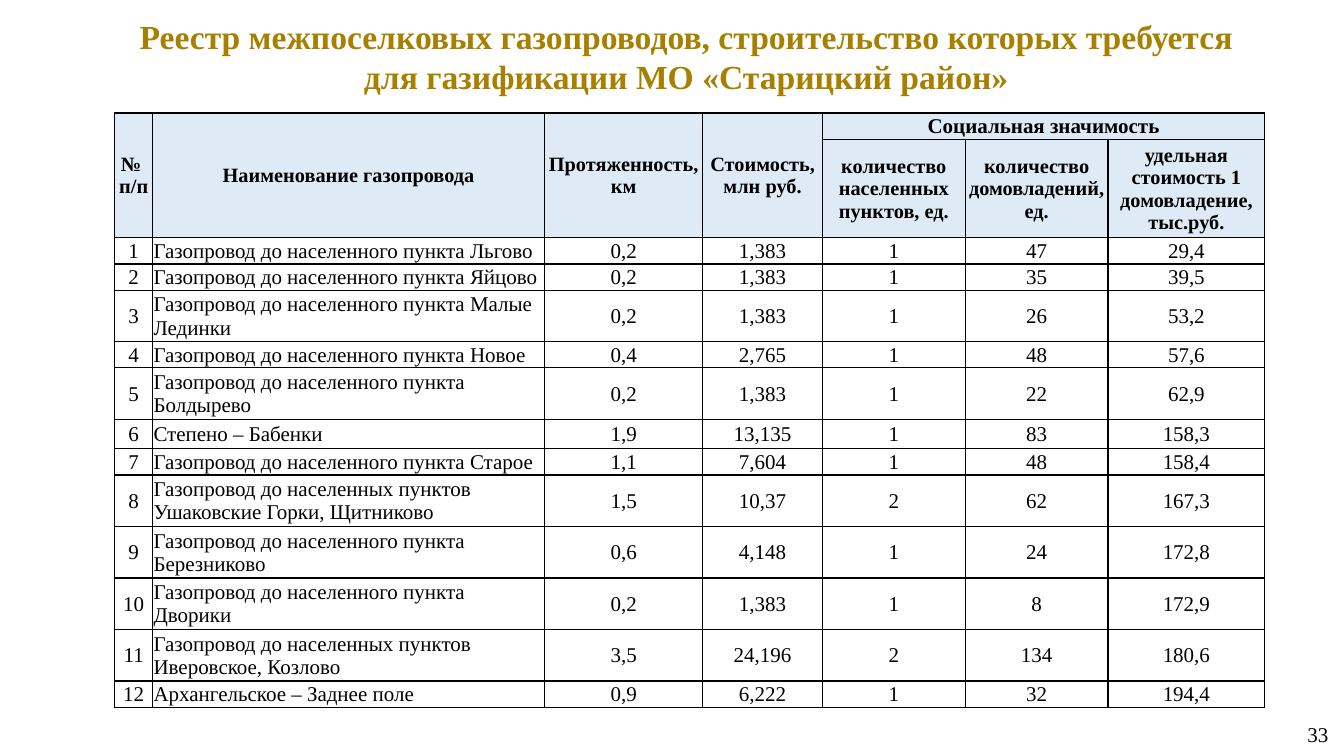
from lxml import etree
from pptx import Presentation
from pptx.dml.color import RGBColor
from pptx.enum.text import MSO_ANCHOR, PP_ALIGN
from pptx.oxml.ns import qn
from pptx.util import Pt

LEFT, CENTER, RIGHT = PP_ALIGN.LEFT, PP_ALIGN.CENTER, PP_ALIGN.RIGHT
TOP, MIDDLE = MSO_ANCHOR.TOP, MSO_ANCHOR.MIDDLE

BLACK = RGBColor(0x00, 0x00, 0x00)
GOLD = RGBColor(0xA8, 0x80, 0x00)
HEADER_BLUE = RGBColor(0xDE, 0xEB, 0xF7)
FONT = "Times New Roman"
BODY_SIZE, HEADER_SIZE = 15, 14.5

TITLE = [
    "Реестр межпоселковых газопроводов, строительство которых требуется ",
    "для газификации МО «Старицкий район» ",
]

COLUMN_WIDTHS = [27, 280, 113, 85.5, 102, 102, 112]
TOP_HEADER_HEIGHT, SUB_HEADER_HEIGHT = 18.8, 70.3
ONE_LINE, SPACED_LINE, TWO_LINES = 18.7, 21, 36.8

# Header cells: row, column, last row, last column, paragraphs, size
HEADERS = [
    (0, 0, 1, 0, ["№ \vп/п"], HEADER_SIZE),
    (0, 1, 1, 1, ["Наименование газопровода"], HEADER_SIZE),
    (0, 2, 1, 2, ["Протяженность, км"], HEADER_SIZE),
    (0, 3, 1, 3, ["Стоимость, млн руб."], HEADER_SIZE),
    (0, 4, 0, 6, ["Социальная значимость"], BODY_SIZE),
    (1, 4, 1, 4, ["количество населенных пунктов, ед."], HEADER_SIZE),
    (1, 5, 1, 5, ["количество", "домовладений, ед."], HEADER_SIZE),
    (1, 6, 1, 6, ["удельная стоимость 1 домовладение, тыс.руб."], HEADER_SIZE),
]

# Row height, name, length, cost, settlements, households, cost per household
PIPELINES = [
    (ONE_LINE, "Газопровод до населенного пункта Льгово", "0,2", "1,383", "1", "47", "29,4"),
    (ONE_LINE, "Газопровод до населенного пункта Яйцово", "0,2", "1,383", "1", "35", "39,5"),
    (TWO_LINES, "Газопровод до населенного пункта Малые Лединки", "0,2", "1,383", "1", "26", "53,2"),
    (ONE_LINE, "Газопровод до населенного пункта Новое", "0,4", "2,765", "1", "48", "57,6"),
    (TWO_LINES, "Газопровод до населенного пункта Болдырево", "0,2", "1,383", "1", "22", "62,9"),
    (SPACED_LINE, "Степено – Бабенки", "1,9", "13,135", "1", "83", "158,3"),
    (ONE_LINE, "Газопровод до населенного пункта Старое", "1,1", "7,604", "1", "48", "158,4"),
    (TWO_LINES, "Газопровод до населенных пунктов Ушаковские Горки, Щитниково",
     "1,5", "10,37", "2", "62", "167,3"),
    (TWO_LINES, "Газопровод до населенного пункта Березниково", "0,6", "4,148", "1", "24", "172,8"),
    (TWO_LINES, "Газопровод до населенного пункта Дворики", "0,2", "1,383", "1", "8", "172,9"),
    (TWO_LINES, "Газопровод до населенных пунктов Иверовское, Козлово",
     "3,5", "24,196", "2", "134", "180,6"),
    (ONE_LINE, "Архангельское – Заднее поле", "0,9", "6,222", "1", "32", "194,4"),
]


def write_text(text_frame, paragraphs, size, color=BLACK, bold=False, align=CENTER):
    for index, text in enumerate(paragraphs):
        paragraph = text_frame.paragraphs[0] if index == 0 else text_frame.add_paragraph()
        paragraph.alignment = align
        for line_index, line in enumerate(text.split("\v")):
            if line_index:
                paragraph.add_line_break()
            run = paragraph.add_run()
            run.text = line
            run.font.name = FONT
            run.font.size = Pt(size)
            run.font.bold = bold
            run.font.color.rgb = color


def add_text_box(slide, box, paragraphs, size, color, bold, align, anchor):
    text_frame = slide.shapes.add_textbox(*(Pt(length) for length in box)).text_frame
    text_frame.word_wrap = True
    text_frame.vertical_anchor = anchor
    write_text(text_frame, paragraphs, size, color, bold, align)


def style_cell(cell, fill_color=None):
    cell.vertical_anchor = MIDDLE
    cell.margin_left = cell.margin_top = cell.margin_right = Pt(0.7)
    cell.margin_bottom = 0
    properties = cell._tc.get_or_add_tcPr()
    for side in ("a:lnL", "a:lnR", "a:lnT", "a:lnB"):
        border = etree.SubElement(properties, qn(side), w=str(Pt(1)))
        border_fill = etree.SubElement(border, qn("a:solidFill"))
        etree.SubElement(border_fill, qn("a:srgbClr"), val=str(BLACK))
    if fill_color is None:
        cell.fill.background()
    else:
        cell.fill.solid()
        cell.fill.fore_color.rgb = fill_color


def add_pipeline_table(slide, left, top):
    heights = [TOP_HEADER_HEIGHT, SUB_HEADER_HEIGHT] + [row[0] for row in PIPELINES]
    table = slide.shapes.add_table(
        len(heights), len(COLUMN_WIDTHS), Pt(left), Pt(top),
        Pt(sum(COLUMN_WIDTHS)), Pt(sum(heights))).table
    table.first_row = table.horz_banding = False
    for column, width in zip(table.columns, COLUMN_WIDTHS):
        column.width = Pt(width)
    for row_index, (row, height) in enumerate(zip(table.rows, heights)):
        row.height = Pt(height)
        for cell in row.cells:
            style_cell(cell, HEADER_BLUE if row_index < 2 else None)

    # Two-level header
    for row, column, last_row, last_column, paragraphs, size in HEADERS:
        cell = table.cell(row, column)
        if (row, column) != (last_row, last_column):
            cell.merge(table.cell(last_row, last_column))
        write_text(cell.text_frame, paragraphs, size, bold=True)

    # Numbered pipelines
    for number, (_, *values) in enumerate(PIPELINES, start=1):
        for column, value in enumerate([str(number), *values]):
            align = LEFT if column == 1 else CENTER
            write_text(table.cell(number + 1, column).text_frame, [value], BODY_SIZE, align=align)


def main():
    presentation = Presentation()
    presentation.slide_width, presentation.slide_height = Pt(960), Pt(540)
    slide = presentation.slides.add_slide(presentation.slide_layouts[6])
    add_text_box(slide, (69.8, 7.9, 846.7, 65.5), TITLE, 24, GOLD, True, CENTER, TOP)
    add_pipeline_table(slide, 82, 80.7)
    # Page number
    add_text_box(slide, (761, 502.6, 195, 44), ["33"], BODY_SIZE, BLACK, False, RIGHT, MIDDLE)
    presentation.save("out.pptx")


if __name__ == "__main__":
    main()
